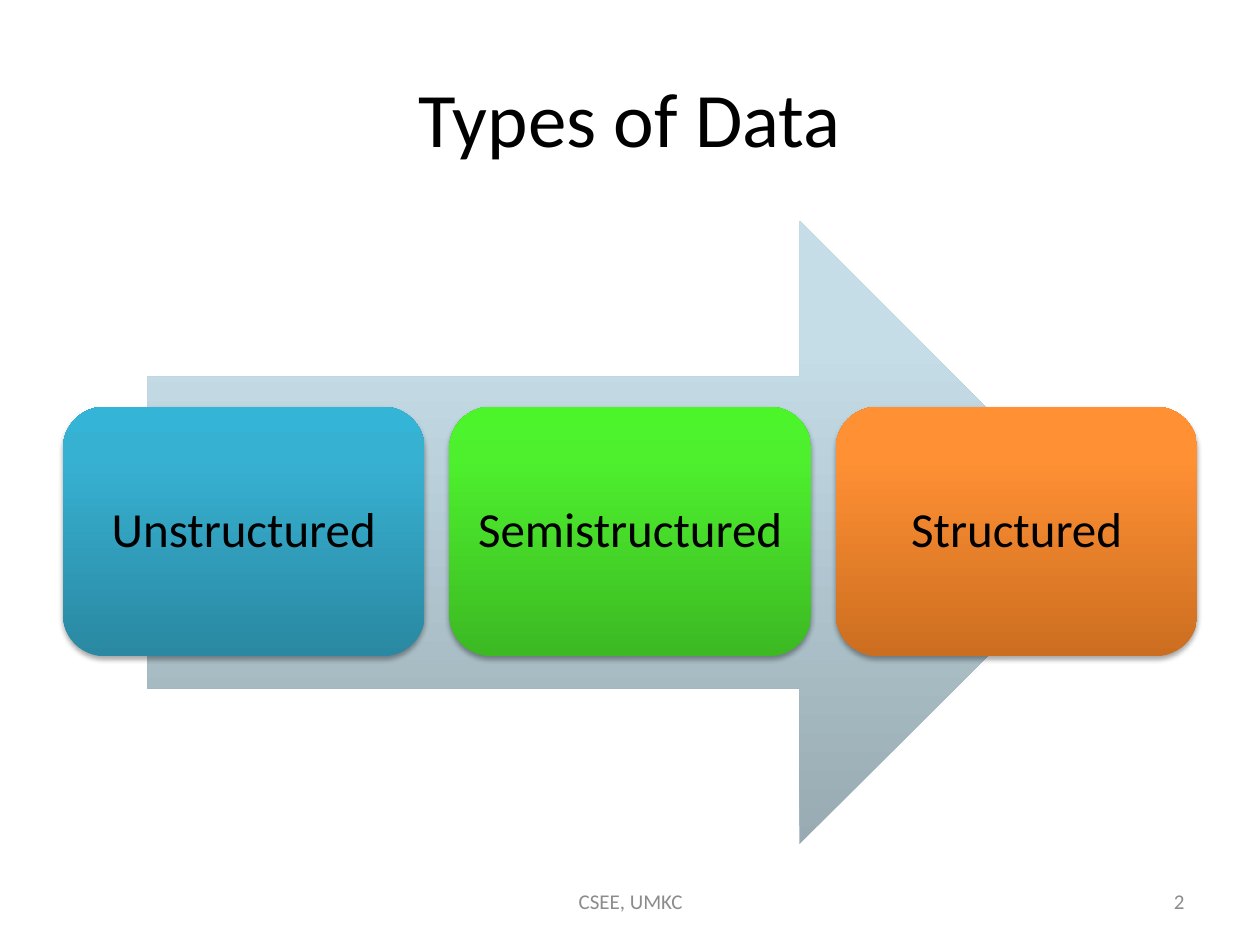
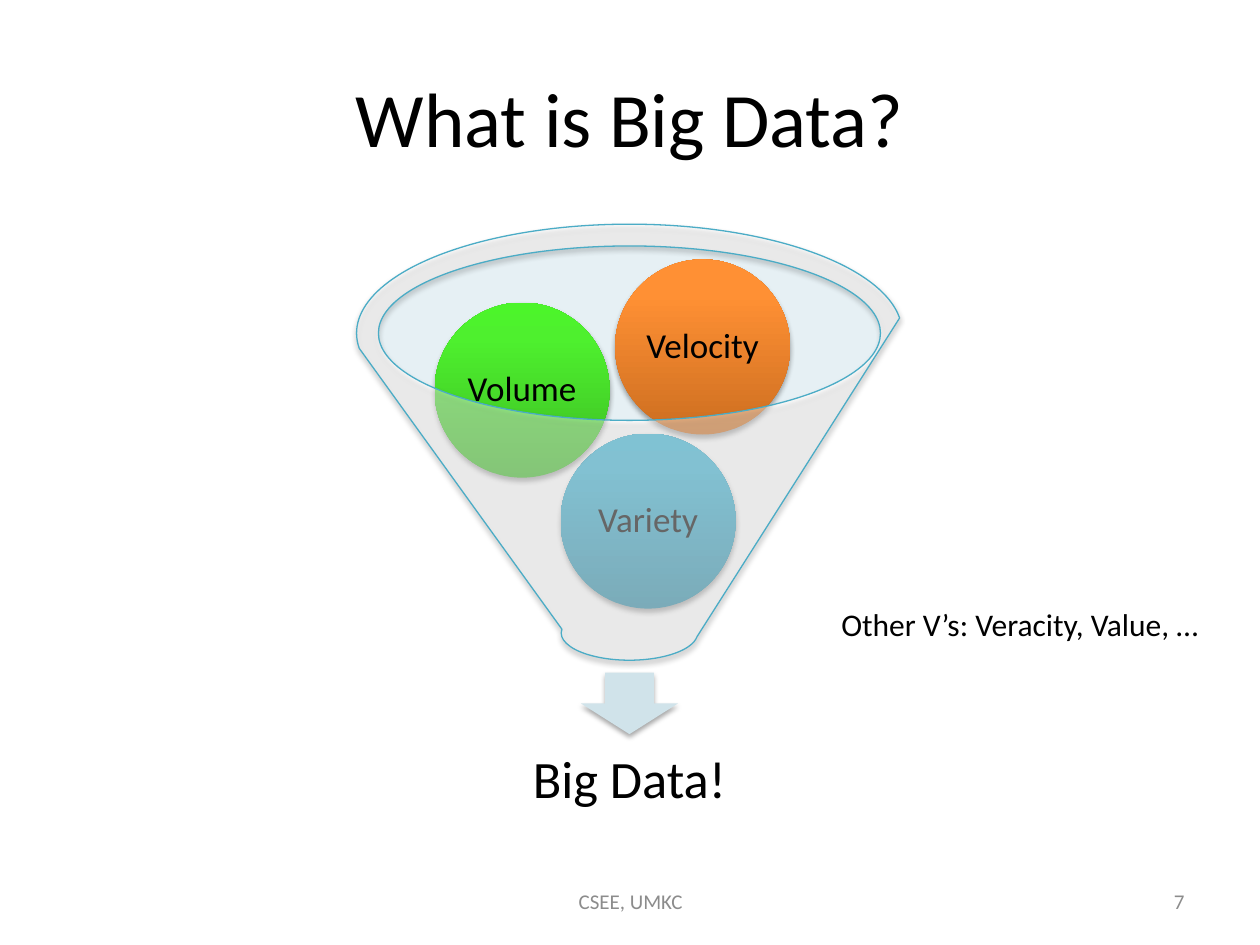
from copy import deepcopy
from lxml.etree import SubElement
from pptx import Presentation
from pptx.dml.color import RGBColor
from pptx.enum.shapes import MSO_SHAPE as Shape
from pptx.enum.text import MSO_ANCHOR as Anchor, PP_ALIGN as Align
from pptx.oxml.ns import qn
from pptx.util import Cm, Pt

FONT, BLACK, GREY = "Calibri", "000000", "8C8C8C"
FOOTER = "CSEE, UMKC"
STOPS = (0, 0.8, 1)
BLUE = ("2A88A2", "37B1D2", "34B4D6")
GREEN = ("3CB923", "4EF02E", "4CF52A")
ORANGE = ("CC6E20", "FF9034", "FF9136")
PALE = ("98AAB2", "C5DDE7", "C6DEE9")

# Positions are left, top, width, height in centimetres.
TITLE_BOX = (1.27, 0.76, 22.86, 3.18)
FOOTER_BOX = (8.69, 17.65, 8.05, 1.02)
NUMBER_BOX = (18.21, 17.65, 5.92, 1.02)

TYPES = [("Unstructured", BLUE), ("Semistructured", GREEN), ("Structured", ORANGE)]
ARROW_BOX = (2.97, 4.45, 19.43, 12.57)
CARD_LEFT, CARD_TOP, CARD_W, CARD_H, CARD_STEP = 1.27, 8.2, 7.29, 5.03, 7.79

BALLS = [
    ("Variety", BLUE, 11.3, 8.74),
    ("Volume", GREEN, 8.76, 6.1),
    ("Velocity", ORANGE, 12.4, 5.23),
]
BALL = 3.53
MOUTH_BOX = (7.62, 4.95, 10.13, 3.53)
FUNNEL_BOX = (7.19, 4.52, 11, 8.79)
SPOUT_BOX = (11.71, 13.56, 1.96, 1.24)
RESULT_BOX = (7.98, 14.58, 9.42, 2.36)
NOTE_BOX = (16.71, 12.07, 7.82, 1.02)


def color(code):
    return RGBColor.from_string(code)


def write(shape, text, size, ink=BLACK, align=Align.CENTER, anchor=Anchor.MIDDLE,
          inset=None, spacing=None, wrap=True):
    frame = shape.text_frame
    frame.word_wrap = wrap
    frame.vertical_anchor = anchor
    if inset is not None:
        frame.margin_left = frame.margin_right = Cm(inset)
        frame.margin_top = frame.margin_bottom = Cm(inset)
    para = frame.paragraphs[0]
    para.text = text
    para.alignment = align
    if spacing:
        para.line_spacing = spacing
    font = para.font
    font.name, font.size = FONT, Pt(size)
    font.color.rgb = color(ink)


def label(slide, box, text, size, **style):
    write(slide.shapes.add_textbox(*map(Cm, box)), text, size, **style)


def blend(fill, codes):
    """Fill from bottom to top with three colours."""
    fill.gradient()
    fill.gradient_angle = 90
    first = fill.gradient_stops[0]._gs
    first.getparent().append(deepcopy(first))
    for stop, place, code in zip(fill.gradient_stops, STOPS, codes):
        stop.position = place
        stop.color.rgb = color(code)


def fade(parent, percent):
    SubElement(parent, qn("a:alpha"), val=str(percent * 1000))


def draw(slide, kind, box, paint, alpha=None, line=None, shadow=True):
    """Add a preset shape; paint is one colour or three gradient colours."""
    shape = slide.shapes.add_shape(kind, *map(Cm, box))
    props = shape._element.spPr
    if isinstance(paint, tuple):
        blend(shape.fill, paint)
    else:
        shape.fill.solid()
        shape.fill.fore_color.rgb = color(paint)
        if alpha:
            fade(props.find(qn("a:solidFill"))[0], alpha)
    if line:
        shape.line.color.rgb = color(line)
        shape.line.width = Pt(0.75)
    else:
        shape.line.fill.background()
    shape.shadow.inherit = False
    if shadow:
        outer = SubElement(props.find(qn("a:effectLst")), qn("a:outerShdw"),
                           blurRad=str(Pt(3.1)), dist=str(Pt(1.8)),
                           dir="5400000", rotWithShape="0")
        fade(SubElement(outer, qn("a:srgbClr"), val=BLACK), 35)
    return shape


def start(deck, title, number):
    """Add a slide with its title, footer and number."""
    slide = deck.slides.add_slide(deck.slide_layouts[6])
    label(slide, TITLE_BOX, title, 44)
    label(slide, FOOTER_BOX, FOOTER, 12, ink=GREY)
    label(slide, NUMBER_BOX, str(number), 12, ink=GREY, align=Align.RIGHT)
    return slide


def add_types(deck):
    slide = start(deck, "Types of Data", 2)
    draw(slide, Shape.RIGHT_ARROW, ARROW_BOX, PALE, shadow=False)
    for i, (name, paint) in enumerate(TYPES):
        box = (CARD_LEFT + i * CARD_STEP, CARD_TOP, CARD_W, CARD_H)
        card = draw(slide, Shape.ROUNDED_RECTANGLE, box, paint)
        write(card, name, 28, inset=0.3, spacing=0.9, wrap=False)


def add_funnel(deck):
    slide = start(deck, "What is Big Data?", 7)
    draw(slide, Shape.OVAL, MOUTH_BOX, "C1DBE5", alpha=40, shadow=False)
    draw(slide, Shape.DOWN_ARROW, SPOUT_BOX, "D0E3EA")
    label(slide, RESULT_BOX, "Big Data!", 30, inset=0.58, spacing=0.9)
    for name, paint, left, top in BALLS:
        ball = draw(slide, Shape.OVAL, (left, top, BALL, BALL), paint)
        write(ball, name, 20, inset=0.08, spacing=0.9, wrap=False)
    draw(slide, Shape.FUNNEL, FUNNEL_BOX, "FFFFFF", alpha=40, line="4BACC6")
    label(slide, NOTE_BOX, "Other V’s: Veracity, Value, …", 18,
          align=Align.LEFT, anchor=Anchor.TOP, wrap=False)


def main():
    deck = Presentation()
    deck.slide_width, deck.slide_height = Cm(25.4), Cm(19.05)
    add_types(deck)
    add_funnel(deck)
    deck.save("out.pptx")


if __name__ == "__main__":
    main()
